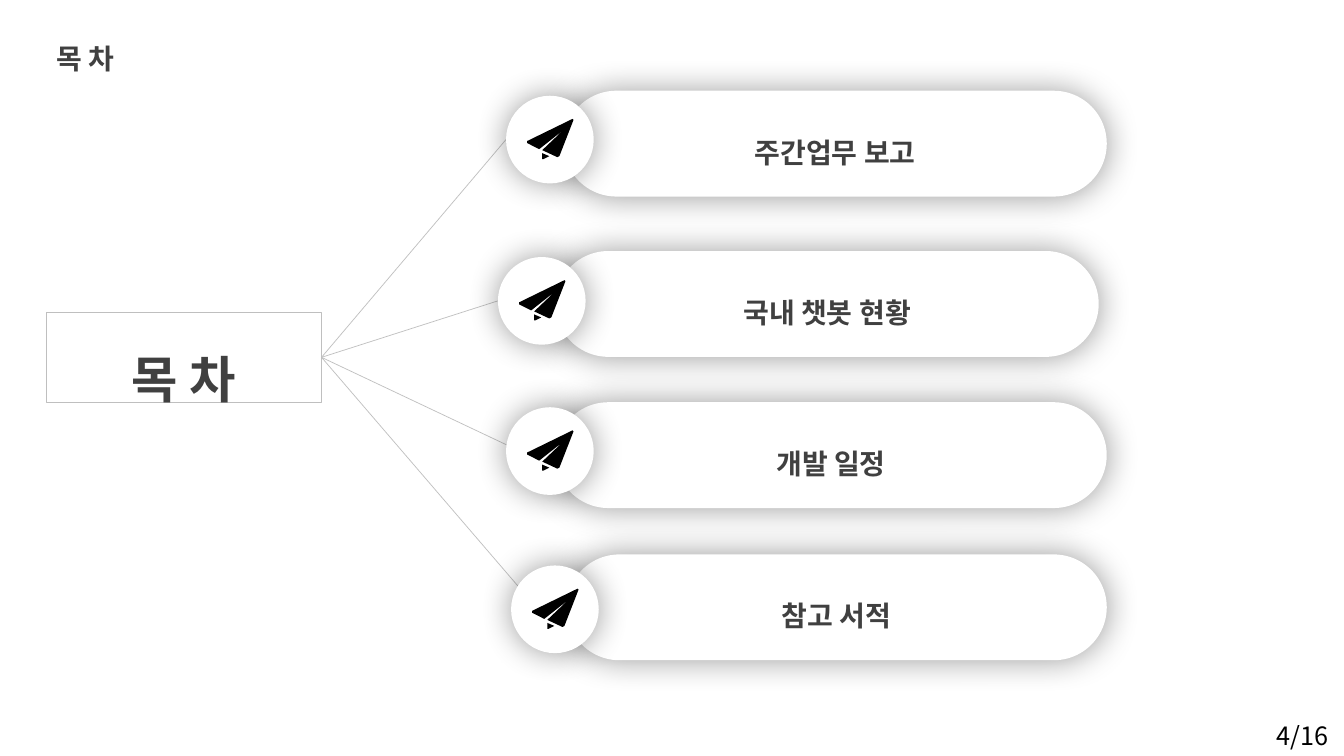
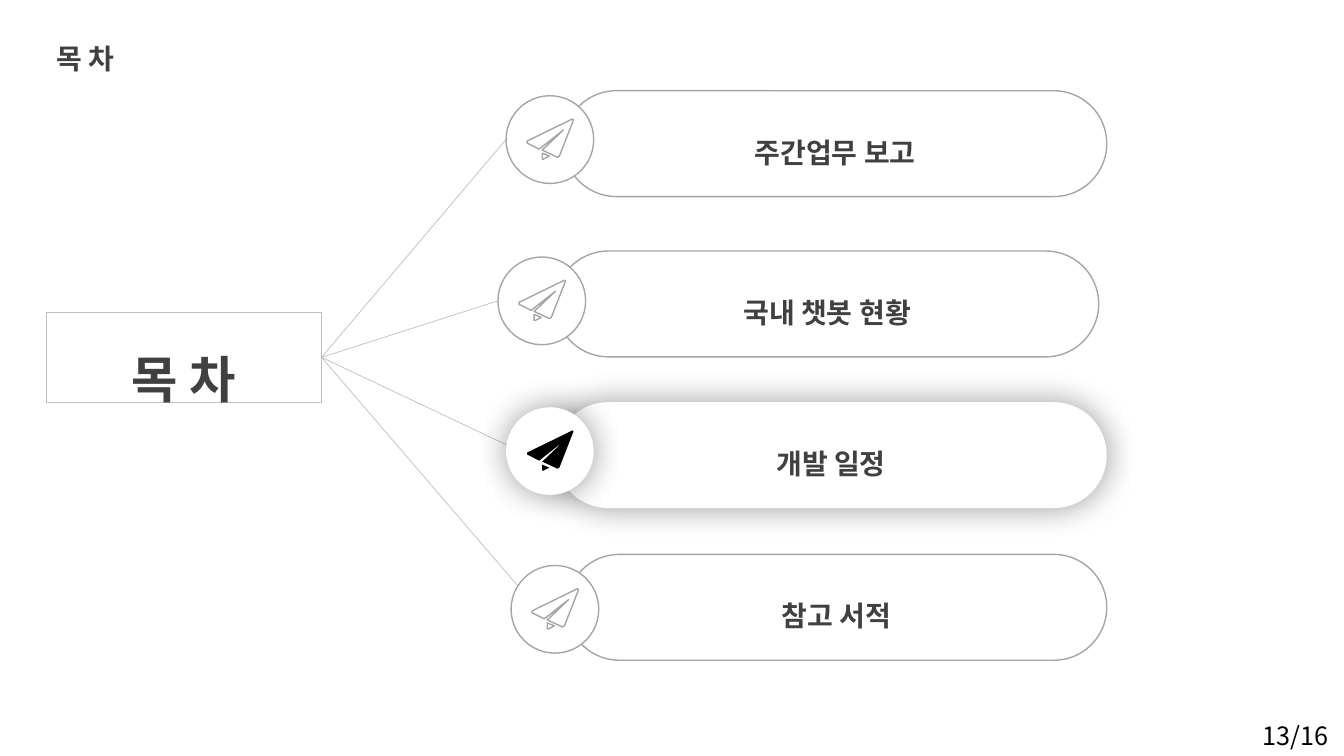
from lxml import etree
from pptx import Presentation
from pptx import util as u
from pptx.dml.color import RGBColor
from pptx.enum import shapes, text
from pptx.oxml.ns import qn

SANS, PILL_FONT = "Noto Sans CJK KR", "Cabin"
INK, BLACK, WHITE = "404040", "000000", "FFFFFF"
OUTLINE, RULE = "A5A5A5", "BFBFBF"
CENTER, RIGHT = text.PP_ALIGN.CENTER, text.PP_ALIGN.RIGHT

deck = Presentation()
deck.slide_width, deck.slide_height = u.Inches(13.33), u.Inches(7.5)
COLUMN, ROW = deck.slide_width / 40, deck.slide_height / 30


def grid(*cells):
    """Turn alternating column and row counts into lengths."""
    return [u.Emu(round(n * (ROW if i % 2 else COLUMN))) for i, n in enumerate(cells)]


def style(shape, words="", fill=None, line=None, weight=1, glow=False, font=SANS,
          size=20, color=INK, bold=True, align=text.PP_ALIGN.LEFT, spacing=1.5,
          anchor=text.MSO_ANCHOR.TOP, inset=None):
    """Set fill, outline, soft glow and text of a shape."""
    if fill:
        shape.fill.solid()
        shape.fill.fore_color.rgb = RGBColor.from_string(fill)
    else:
        shape.fill.background()
    if line:
        shape.line.color.rgb = RGBColor.from_string(line)
        shape.line.width = u.Pt(weight)
    else:
        shape.line.fill.background()
    shape.shadow.inherit = False
    if glow:
        effects = shape._element.spPr.find(qn("a:effectLst"))
        shadow = etree.SubElement(effects, qn("a:outerShdw"), blurRad=str(u.Pt(24)),
                                  dist="0", dir="0", algn="ctr", rotWithShape="0")
        shade = etree.SubElement(shadow, qn("a:srgbClr"), val=BLACK)
        etree.SubElement(shade, qn("a:alpha"), val="40000")
    if not words:
        return
    frame = shape.text_frame
    frame.word_wrap = True
    frame.auto_size = text.MSO_AUTO_SIZE.NONE
    frame.vertical_anchor = anchor
    if inset is not None:
        frame.margin_left = frame.margin_right = inset
        frame.margin_top = frame.margin_bottom = inset
    para = frame.paragraphs[0]
    para.alignment, para.line_spacing = align, spacing
    para.space_before = u.Pt(0)
    span = para.add_run()
    span.text = words
    span.font.name, span.font.size, span.font.bold = font, u.Pt(size), bold
    span.font.color.rgb = RGBColor.from_string(color)
    etree.SubElement(span._r.get_or_add_rPr(), qn("a:ea"), typeface=SANS)


# Circle size and pill height in grid cells
CIRCLE = (2.61, 3.48)
PILL_HEIGHT = 4.2

# Where a connector starts, as shares of the circle
LEFT_SIDE, INSIDE = (0, 0.5), (0.41, 0.62)

# Words, pill left, top and width, circle left and top, connector start
topics = [
    ("주간업무 보고", 16.77, 3.6, 16.17, 15.06, 3.8, LEFT_SIDE),
    ("국내 챗봇 현황", 16.53, 9.96, 16.17, 14.82, 10.2, LEFT_SIDE),
    ("개발 일정", 16.53, 15.96, 16.41, 15.06, 16.16, INSIDE),
    ("참고 서적", 16.86, 22, 16.08, 15.21, 22.44, INSIDE),
]

# Paper plane, in hundredths of an inch from the circle's corner
TAIL = [(36, 57), (43, 60), (37, 63), (36, 63)]
WINGS = [(66, 23), (67, 24), (53, 60), (51, 61), (36, 54), (57, 34), (33, 53),
         (21, 47), (21, 45)]

pages = [("4/16", [topic[0] for topic in topics]), ("13/16", ["개발 일정"])]

for number, active in pages:
    page = deck.slides.add_slide(deck.slide_layouts[5])
    title = page.shapes.title
    title.left, title.top, title.width, title.height = grid(1.38, 0.76, 19.11, 2.16)
    style(title, "목 차")

    root = page.shapes.add_shape(shapes.MSO_SHAPE.RECTANGLE, *grid(1.38, 12.4, 8.19, 3.56))
    style(root, "목 차", line=RULE, weight=0.75, size=36, align=CENTER)

    for words, pill_left, pill_top, pill_width, left, top, start in topics:
        glow = words in active
        border = None if glow else OUTLINE

        tip = grid(left + start[0] * CIRCLE[0], top + start[1] * CIRCLE[1])
        branch = page.shapes.add_connector(shapes.MSO_CONNECTOR.STRAIGHT, *tip, *tip)
        branch.end_connect(root, 3)
        branch.line.color.rgb = RGBColor.from_string(RULE)
        branch.line.width = u.Pt(0.5)
        etree.SubElement(branch._element.spPr, qn("a:effectLst"))

        pill = page.shapes.add_shape(shapes.MSO_SHAPE.ROUNDED_RECTANGLE,
                                     *grid(pill_left, pill_top, pill_width, PILL_HEIGHT))
        pill.adjustments[0] = 0.5
        style(pill, words, fill=WHITE, line=border, glow=glow, font=PILL_FONT,
              align=CENTER, anchor=text.MSO_ANCHOR.MIDDLE, inset=0)

        circle = page.shapes.add_shape(shapes.MSO_SHAPE.OVAL, *grid(left, top, *CIRCLE))
        style(circle, fill=WHITE, line=border, glow=glow)

        outline = page.shapes.build_freeform(*TAIL[0], scale=u.Inches(0.01))
        outline.add_line_segments(TAIL[1:], close=True)
        outline.move_to(*WINGS[0])
        outline.add_line_segments(WINGS[1:], close=True)
        plane = outline.convert_to_shape(circle.left, circle.top)
        style(plane, fill=BLACK if glow else WHITE, line=border)
        page.shapes.add_group_shape([circle, plane])

    counter = page.shapes.add_textbox(*grid(36.84, 28.4, 3, 1.6))
    style(counter, number, size=18, color=BLACK, bold=False, align=RIGHT, spacing=1)

deck.save("out.pptx")
